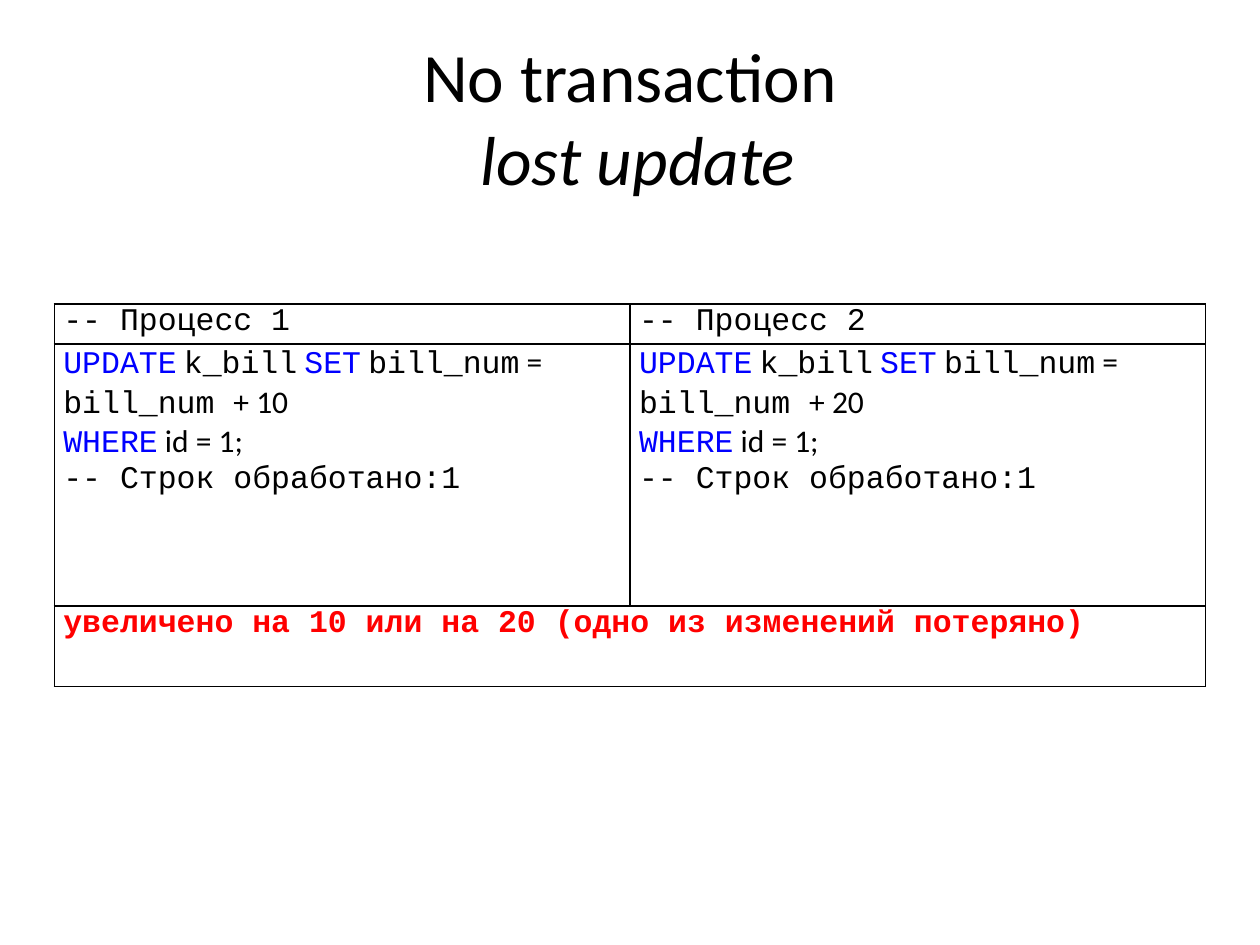
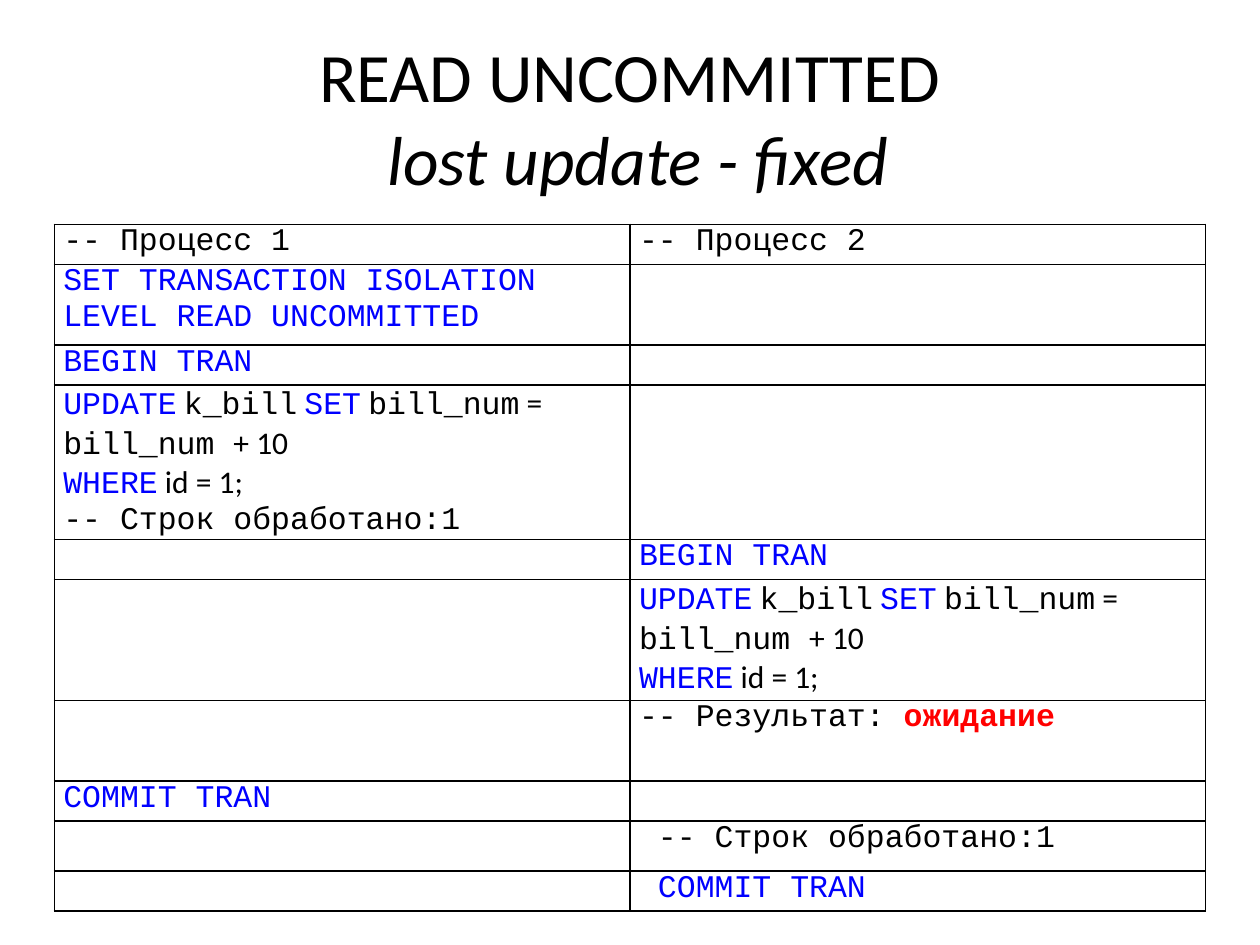
from lxml import etree
from pptx import Presentation
from pptx.dml.color import RGBColor
from pptx.enum.text import MSO_ANCHOR, PP_ALIGN
from pptx.oxml.ns import qn
from pptx.util import Pt

BLACK = RGBColor(0, 0, 0)
BLUE = RGBColor(0, 0, 255)
RED = RGBColor(255, 0, 0)
SANS, MONO = "Calibri", "Courier New"
CENTER, MIDDLE = PP_ALIGN.CENTER, MSO_ANCHOR.MIDDLE
TABLE_LEFT, COL_WIDTH = 31, 329
LINE, DOUBLE = 22.9, 46  # usual row heights

# Run formats
CODE = dict(font=MONO)
KEYWORD = dict(font=MONO, color=BLUE)
PLAIN = dict(font=SANS)
ALERT = dict(font=MONO, color=RED, bold=True)


# Content: a cell is a list of paragraphs, a paragraph a list of (text, format)
def line(text, fmt=CODE):
    return [(text, fmt)]


def update(amount):
    return [
        [("UPDATE", KEYWORD), (" ", PLAIN), ("k_bill", CODE), (" ", PLAIN),
         ("SET", KEYWORD), (" ", PLAIN), ("bill_num", CODE), (" = ", PLAIN),
         ("bill_num ", CODE), (f"+ {amount}", PLAIN)],
        [("WHERE", KEYWORD), (" id = 1;", PLAIN)],
    ]


EMPTY = []
HEADER = (LINE, [line("-- Процесс 1")], [line("-- Процесс 2")])
DONE = "-- Строк обработано:1"
BEGIN = [line("BEGIN\u00a0TRAN", KEYWORD)]

# Rows are (height, left cell, right cell); without a right cell they span both
SLIDES = [
    dict(title=("No transaction", "lost update"), top=173.6, rows=[
        HEADER,
        (149.8, update(10) + [line(DONE)], update(20) + [line(DONE)]),
        (DOUBLE, [line("увеличено на 10 или на 20 (одно из изменений потеряно)",
                       ALERT)], None),
    ]),
    dict(title=("READ\u00a0UNCOMMITTED", "lost update - fixed"), top=128.2, rows=[
        HEADER,
        (DOUBLE, [line("SET\u00a0TRANSACTION\u00a0ISOLATION", KEYWORD),
                  line("LEVEL READ\u00a0UNCOMMITTED", KEYWORD)], EMPTY),
        (LINE, BEGIN, EMPTY),
        (88.4, update(10) + [line(DONE)], EMPTY),
        (LINE, EMPTY, BEGIN),
        (69, EMPTY, update(10)),
        (DOUBLE, EMPTY, [[("-- Результат:\u00a0", CODE), ("ожидание", ALERT)]]),
        (LINE, [line("COMMIT\u00a0TRAN", KEYWORD)], EMPTY),
        (28.6, EMPTY, [line("\u00a0" + DONE)]),
        (LINE, EMPTY, [line("\u00a0COMMIT\u00a0TRAN", KEYWORD)]),
    ]),
]


def add_text(p, text, font=SANS, size=18, color=BLACK, bold=False, italic=False):
    r = p.add_run()
    r.text = text
    f = r.font
    f.name, f.size, f.bold, f.italic = font, Pt(size), bold, italic
    f.color.rgb = color


def add_title(s, heading, subtitle):
    tf = s.shapes.add_textbox(Pt(36), Pt(21.6), Pt(648), Pt(90)).text_frame
    tf.word_wrap = True
    tf.vertical_anchor = MIDDLE
    p = tf.paragraphs[0]
    p.alignment = CENTER
    add_text(p, heading, size=39.6)
    p.add_line_break()
    add_text(p, " " + subtitle, size=39.6, italic=True)


def style_cell(cell):
    cell.margin_left = cell.margin_right = Pt(5.2)
    cell.margin_top = cell.margin_bottom = 0
    tcPr = cell._tc.get_or_add_tcPr()
    for side in ("lnL", "lnR", "lnT", "lnB"):
        ln = etree.SubElement(tcPr, qn("a:" + side), w=str(Pt(1)))
        fill = etree.SubElement(ln, qn("a:solidFill"))
        etree.SubElement(fill, qn("a:srgbClr"), val=str(BLACK))
    cell.fill.background()


def fill_cell(cell, paragraphs):
    tf = cell.text_frame
    for i, runs in enumerate(paragraphs):
        p = tf.add_paragraph() if i else tf.paragraphs[0]
        for text, fmt in runs:
            add_text(p, text, **fmt)


def add_process_table(s, top, rows):
    height = sum(row[0] for row in rows)
    table = s.shapes.add_table(len(rows), 2, Pt(TABLE_LEFT), Pt(top),
                               Pt(2 * COL_WIDTH), Pt(height)).table
    table.first_row = table.horz_banding = False
    for column in table.columns:
        column.width = Pt(COL_WIDTH)
    for i, (row_height, *cells) in enumerate(rows):
        table.rows[i].height = Pt(row_height)
        for j, paragraphs in enumerate(cells):
            cell = table.cell(i, j)
            style_cell(cell)
            fill_cell(cell, paragraphs or EMPTY)
        if cells[1] is None:
            table.cell(i, 0).merge(table.cell(i, 1))


prs = Presentation()
prs.slide_width, prs.slide_height = Pt(720), Pt(540)
for content in SLIDES:
    s = prs.slides.add_slide(prs.slide_layouts[6])
    add_title(s, *content["title"])
    add_process_table(s, content["top"], content["rows"])
prs.save("out.pptx")
